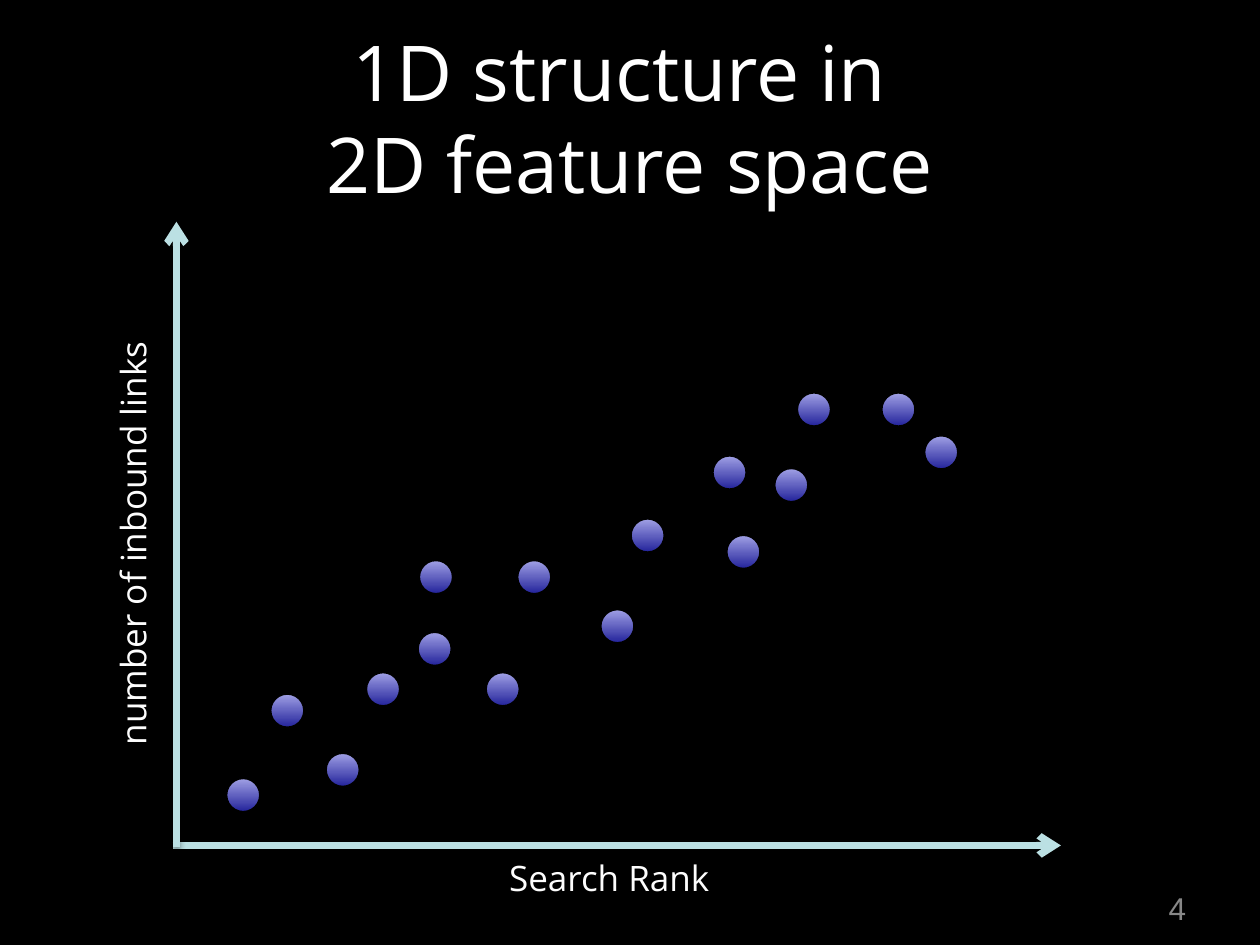
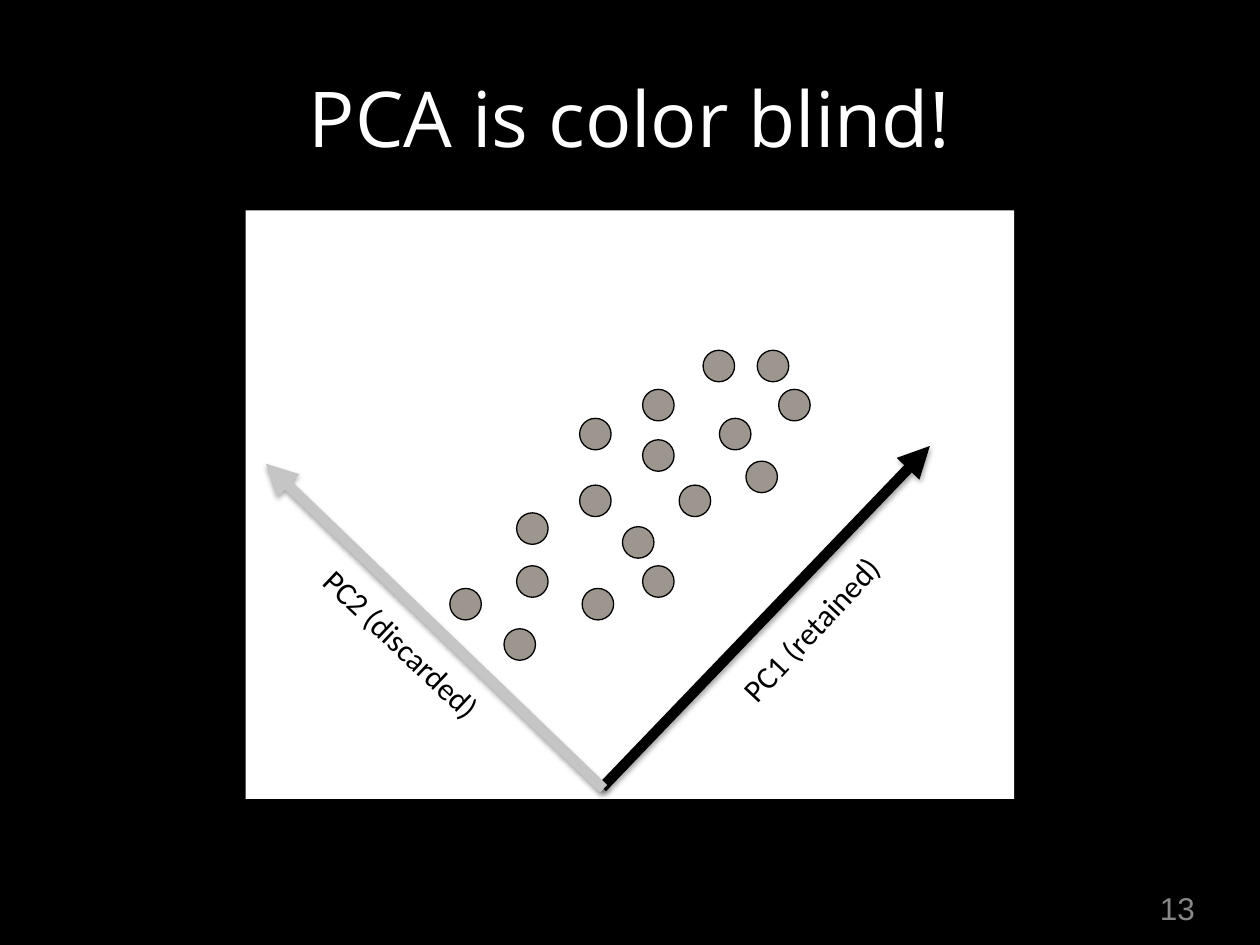
from lxml import etree
from pptx import Presentation
from pptx.dml.color import RGBColor
from pptx.enum.shapes import MSO_CONNECTOR, MSO_SHAPE
from pptx.enum.text import MSO_ANCHOR, MSO_AUTO_SIZE, PP_ALIGN
from pptx.oxml.ns import qn
from pptx.util import Inches, Pt

BLACK = RGBColor(0x00, 0x00, 0x00)
WHITE = RGBColor(0xFF, 0xFF, 0xFF)
LABEL_WHITE = RGBColor(0xFD, 0xFD, 0xFD)
NUMBER_GRAY = RGBColor(0x87, 0x87, 0x87)
AXIS_BLUE = RGBColor(0xBB, 0xE0, 0xE3)
DOT_DARK = RGBColor(0x20, 0x20, 0x99)
DOT_LIGHT = RGBColor(0xA4, 0xA4, 0xE7)
DOT_GRAY = RGBColor(0x9C, 0x96, 0x8E)
DISCARDED_GRAY = RGBColor(0xC5, 0xC5, 0xC5)

TITLE_FONT = {"name": "Open Sans", "size": Pt(44), "color": WHITE}
AXIS_FONT = {"name": "Open Sans", "size": Pt(20), "color": LABEL_WHITE}
COMPONENT_FONT = {"name": "Calibri", "size": Pt(18), "color": BLACK}
NUMBER_FONT = {"name": "Arial", "size": Pt(18), "color": NUMBER_GRAY}

RANK_DOT_SIZE = 0.28
RANK_DOTS = [
    (2.14, 5.5), (1.79, 6.17), (2.9, 5.33), (2.58, 5.97),
    (3.32, 4.44), (3.31, 5.01), (3.85, 5.33), (4.1, 4.44),
    (5, 4.11), (4.76, 4.83), (5.65, 3.61), (6.32, 3.11),
    (7.33, 3.45), (6.14, 3.71), (5.76, 4.24), (6.99, 3.11),
]
GRAY_DOT_SIZE = 0.25
GRAY_DOTS = [
    (4.1, 4.07), (4.6, 3.32), (5.1, 3.09), (5.58, 2.78), (4.1, 4.49),
    (4.6, 3.85), (3.57, 4.67), (5.1, 3.49), (6.18, 3.09), (5.71, 3.32),
    (4.62, 4.67), (4, 4.99), (6.01, 2.78), (5.1, 4.49), (4.94, 4.18),
    (5.92, 3.66), (5.39, 3.85),
]


def format_font(font, values):
    for attribute, value in values.items():
        if attribute == "color":
            font.color.rgb = value
        else:
            setattr(font, attribute, value)


def fill_text(shape, lines, font_values, frame_values, margin, alignment):
    frame = shape.text_frame
    frame.text = "\n".join(lines)
    frame.auto_size = MSO_AUTO_SIZE.NONE
    for side in ("left", "top", "right", "bottom"):
        setattr(frame, f"margin_{side}", Inches(margin))
    for attribute, value in frame_values.items():
        setattr(frame, attribute, value)
    for paragraph in frame.paragraphs:
        paragraph.alignment = alignment
        for run in paragraph.runs:
            format_font(run.font, font_values)


def add_label(slide, box, text, font_values, rotation=0,
              alignment=PP_ALIGN.LEFT, anchor=MSO_ANCHOR.TOP):
    label = slide.shapes.add_textbox(*map(Inches, box))
    label.rotation = rotation
    frame_values = {"word_wrap": False, "vertical_anchor": anchor}
    fill_text(label, [text], font_values, frame_values, 0.05, alignment)


def add_titled_slide(presentation, title_lines, number, number_box):
    slide = presentation.slides.add_slide(presentation.slide_layouts[5])
    title = slide.shapes.title
    place = {"left": 0.5, "top": 0.1, "width": 9, "height": 1.65}
    for attribute, value in place.items():
        setattr(title, attribute, Inches(value))
    frame_values = {"word_wrap": True, "vertical_anchor": MSO_ANCHOR.MIDDLE}
    fill_text(title, title_lines, TITLE_FONT, frame_values, 0.04, PP_ALIGN.CENTER)
    add_label(slide, number_box, number, NUMBER_FONT,
              alignment=PP_ALIGN.CENTER, anchor=MSO_ANCHOR.MIDDLE)
    return slide


def add_shadow(shape):
    properties = shape._element.spPr
    effects = etree.SubElement(properties, qn("a:effectLst"))
    shadow = etree.SubElement(
        effects, qn("a:outerShdw"), blurRad=str(Pt(3)), dist=str(Pt(1.8)),
        dir="5400000", rotWithShape="0")
    color = etree.SubElement(shadow, qn("a:srgbClr"), val=str(BLACK))
    etree.SubElement(color, qn("a:alpha"), val="35000")


def add_arrow(slide, start, end, color, width, head):
    arrow = slide.shapes.add_connector(
        MSO_CONNECTOR.STRAIGHT, *map(Inches, start + end))
    arrow.line.color.rgb = color
    arrow.line.width = Pt(width)
    line = arrow.line._get_or_add_ln()
    etree.SubElement(line, qn("a:tailEnd"), type=head)
    add_shadow(arrow)


def add_plain_shape(slide, kind, box):
    shape = slide.shapes.add_shape(kind, *map(Inches, box))
    shape.shadow.inherit = False
    return shape


def add_dots(slide, positions, size, paint, line_width):
    for left, top in positions:
        dot = add_plain_shape(slide, MSO_SHAPE.OVAL, (left, top, size, size))
        paint(dot.fill)
        dot.line.color.rgb = BLACK
        dot.line.width = Pt(line_width)


def paint_solid(fill, color):
    fill.solid()
    fill.fore_color.rgb = color


def paint_gray(fill):
    paint_solid(fill, DOT_GRAY)


def paint_blue_gradient(fill):
    fill.gradient()
    fill.gradient_angle = 90
    for stop, color in zip(fill.gradient_stops, (DOT_DARK, DOT_LIGHT)):
        stop.color.rgb = color


def build_structure_slide(presentation):
    slide = add_titled_slide(
        presentation, ["1D structure in ", "2D feature space"],
        "4", (9.21, 7.01, 0.27, 0.39))
    add_arrow(slide, (1.37, 6.71), (8.42, 6.71), AXIS_BLUE, 4, "arrow")
    add_arrow(slide, (1.4, 6.72), (1.4, 1.76), AXIS_BLUE, 4, "arrow")
    add_label(slide, (3.99, 6.75, 1.82, 0.42), "Search Rank", AXIS_FONT)
    add_label(slide, (-0.68, 4.03, 3.45, 0.42), "number of inbound links",
              AXIS_FONT, rotation=270)
    add_dots(slide, RANK_DOTS, RANK_DOT_SIZE, paint_blue_gradient, 2)


def build_color_blind_slide(presentation):
    slide = add_titled_slide(
        presentation, ["PCA is color blind!"], "13", (9.13, 7.01, 0.43, 0.39))
    panel = add_plain_shape(slide, MSO_SHAPE.RECTANGLE, (1.95, 1.67, 6.1, 4.67))
    paint_solid(panel.fill, WHITE)
    panel.line.fill.background()
    add_dots(slide, GRAY_DOTS, GRAY_DOT_SIZE, paint_gray, 0.75)
    add_arrow(slide, (4.78, 6.25), (7.38, 3.54), BLACK, 6, "triangle")
    add_arrow(slide, (4.79, 6.26), (2.11, 3.68), DISCARDED_GRAY, 6, "triangle")
    add_label(slide, (5.63, 4.72, 1.74, 0.41), "PC1 (retained)",
              COMPONENT_FONT, rotation=313)
    add_label(slide, (2.31, 4.99, 1.92, 0.41), "PC2 (discarded)",
              COMPONENT_FONT, rotation=43.6)


def main():
    presentation = Presentation()
    presentation.slide_width = Inches(10)
    presentation.slide_height = Inches(7.5)
    paint_solid(presentation.slide_master.background.fill, BLACK)
    build_structure_slide(presentation)
    build_color_blind_slide(presentation)
    presentation.save("out.pptx")


if __name__ == "__main__":
    main()
